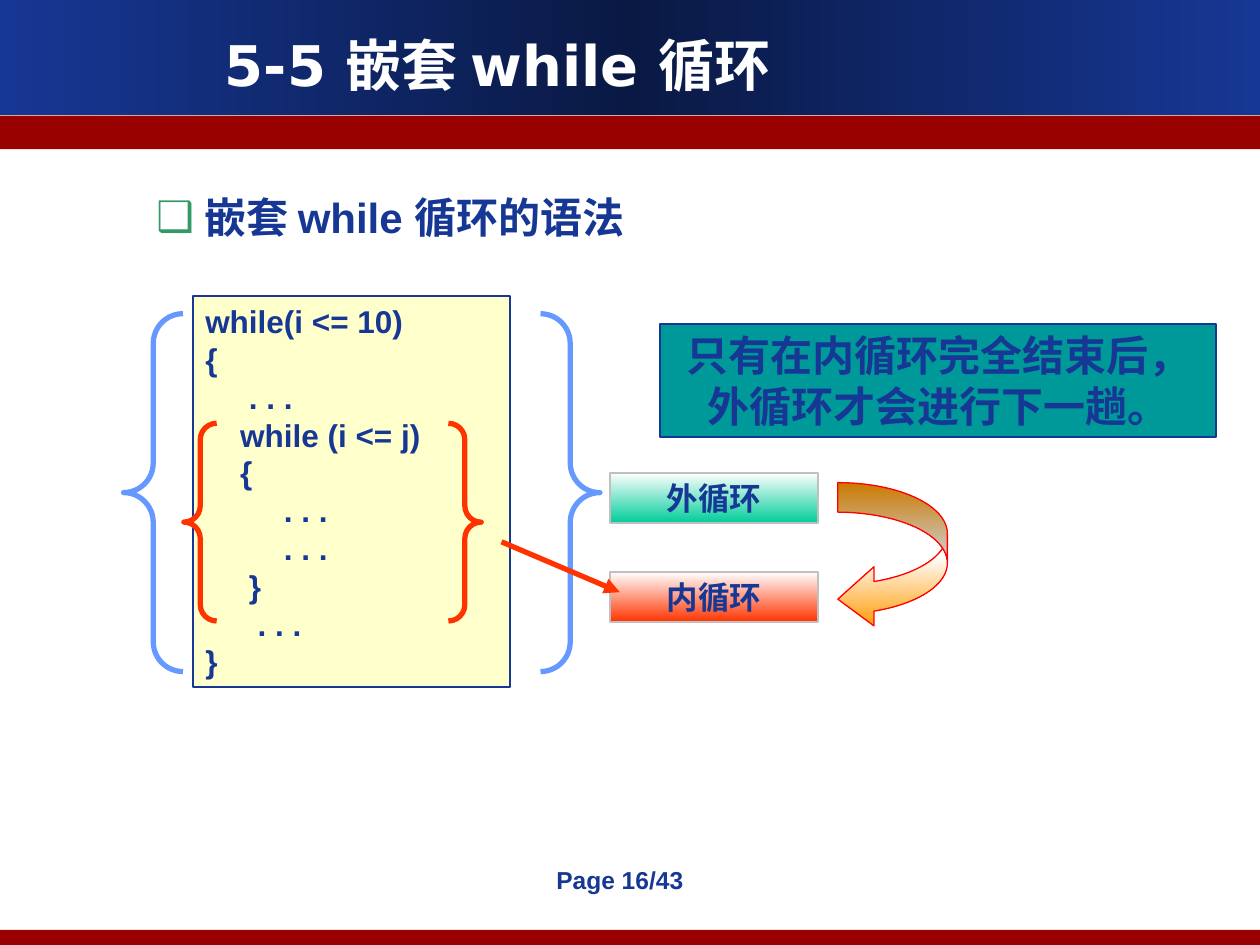
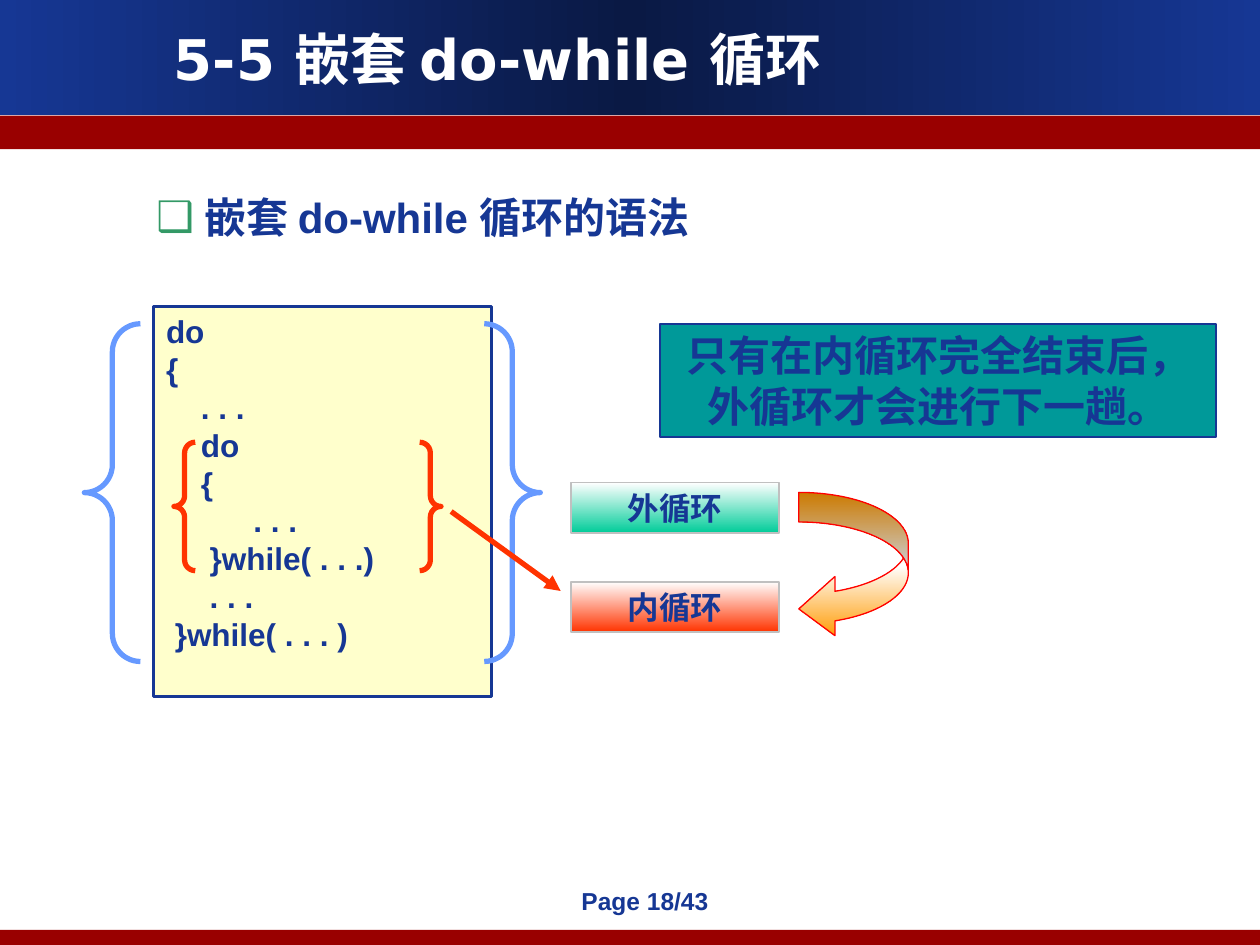
import lxml.etree
import pptx
import pptx.dml.color
import pptx.enum.shapes
import pptx.enum.text
import pptx.oxml
import pptx.oxml.ns
import pptx.util

Pt = pptx.util.Pt
RGB = pptx.dml.color.RGBColor
SHAPE = pptx.enum.shapes.MSO_SHAPE
ALIGN = pptx.enum.text.PP_ALIGN
ANCHOR = pptx.enum.text.MSO_ANCHOR
qn = pptx.oxml.ns.qn

BLUE = RGB(0x16, 0x37, 0x94)
NAVY = RGB(0x0A, 0x19, 0x44)
DARK_RED = RGB(0x99, 0x00, 0x00)
WHITE = RGB(0xFF, 0xFF, 0xFF)
CREAM = RGB(0xFF, 0xFF, 0xCC)
SKY = RGB(0x66, 0x99, 0xFF)
ORANGE_RED = RGB(0xFF, 0x33, 0x00)
MINT = RGB(0x00, 0xCC, 0x99)
TEAL = RGB(0x00, 0x99, 0x99)
SILVER = RGB(0xC0, 0xC0, 0xC0)
AMBER = RGB(0xFF, 0x99, 0x00)
RED = RGB(0xFF, 0x00, 0x00)
BULLET_GREEN = RGB(0x33, 0x99, 0x66)

TITLE_FONT = {"name": "DejaVu Sans", "size": Pt(32), "bold": True}
HEADING_FONT = {"name": "Arial", "size": Pt(24), "bold": True}
CODE_FONT = {"name": "Arial", "size": Pt(18), "bold": True}
PAGE_FONT = {"name": "Arial", "size": Pt(14), "bold": True}
MARGINS = {"margin_left": Pt(7.2), "margin_top": Pt(3.6),
           "margin_right": Pt(7.2), "margin_bottom": Pt(3.6)}

SLIDES = [
    {
        "title": "5-5 嵌套 while 循环",
        "title_top": 3.6,
        "heading": "嵌套 while 循环的语法",
        "code": ["while(i <= 10)", "{", "     . . .", "    while (i <= j)", "    {",
                 "         . . .", "         . . .", "     }", "      . . .", "}"],
        "code_box": (110.2, 169.2, 181.4, 223.2),
        "code_line": 1.25,
        "outer_brace": (70.6, 179.3, 272.2, 204.5),
        "inner_brace": (105.1, 241.9, 169.9, 113),
        "labels_at": (348.5, 270.2),
        "pointer": (286.6, 309.6, 354.2, 338.4),
        "callout_line": 1,
        "page": "Page 16/43",
        "page_box": (303.1, 491, 102.2, 41),
    },
    {
        "title": "5-5 嵌套 do-while 循环",
        "title_top": 0,
        "heading": "嵌套 do-while 循环的语法",
        "code": ["do", "{", "    . . .", "    do", "    {", "          . . .",
                 "     }while( . . .)", "     . . .", " }while( . . . )"],
        "code_box": (87.8, 175, 193, 223.2),
        "code_line": 1.5,
        "outer_brace": (48.2, 185, 260.6, 193),
        "inner_brace": (99.4, 252.7, 152.6, 73.4),
        "labels_at": (326.2, 275.8),
        "pointer": (257.8, 292.3, 320.4, 337.7),
        "callout_line": 1.25,
        "page": "Page 18/43",
        "page_box": (314.6, 502.6, 108, 41),
    },
]


def set_attrs(obj, values):
    for name, value in values.items():
        setattr(obj, name, value)


def points(box):
    return [Pt(v) for v in box]


def set_gradient(sp, colors):
    """Fill a shape from top to bottom with evenly spaced colours."""
    sp.fill.gradient()
    sp.fill.gradient_angle = 270
    stops = sp.element.spPr.find(qn("a:gradFill")).find(qn("a:gsLst"))
    for stop in list(stops):
        stops.remove(stop)
    for i, color in enumerate(colors):
        stop = lxml.etree.SubElement(stops, qn("a:gs"),
                                     pos=str(100000 * i // (len(colors) - 1)))
        lxml.etree.SubElement(stop, qn("a:srgbClr"), val=str(color))


def add_preset(s, kind, box, fill=None, line=None, width=1.0):
    """Add a preset shape; fill is None, one colour or a list of colours."""
    sp = s.shapes.add_shape(kind, *points(box))
    sp.shadow.inherit = False
    if fill is None:
        sp.fill.background()
    elif isinstance(fill, list):
        set_gradient(sp, fill)
    else:
        sp.fill.solid()
        sp.fill.fore_color.rgb = fill
    if line is None:
        sp.line.fill.background()
    else:
        sp.line.color.rgb = line
        sp.line.width = Pt(width)
    return sp


def write(sp, lines, font, color=BLUE, align=ALIGN.CENTER, anchor=ANCHOR.TOP):
    tf = sp.text_frame
    set_attrs(tf, {**MARGINS, "word_wrap": True, "vertical_anchor": anchor,
                   "auto_size": pptx.enum.text.MSO_AUTO_SIZE.NONE})
    for i, line in enumerate(lines):
        p = tf.paragraphs[0] if i == 0 else tf.add_paragraph()
        set_attrs(p, {"alignment": align, "space_before": Pt(0)})
        r = p.add_run()
        r.text = line
        set_attrs(r.font, font)
        r.font.color.rgb = color


def move(sp, box):
    set_attrs(sp, dict(zip(("left", "top", "width", "height"), points(box))))


def add_master_bands(prs, s):
    """Draw the bands on a slide, then hand them to the slide master."""
    bands = [
        add_preset(s, SHAPE.RECTANGLE, (0, 0, 720, 65.6), [BLUE, NAVY, BLUE]),
        add_preset(s, SHAPE.RECTANGLE, (0, 66.1, 720, 19.2), DARK_RED),
        add_preset(s, SHAPE.RECTANGLE, (0, 531.4, 720, 8.6), DARK_RED),
    ]
    bands[0].fill.gradient_angle = 180
    tree = prs.slide_master.element.cSld.spTree
    for i, band in enumerate(bands):
        band.element.nvSpPr.cNvPr.set("id", str(101 + i))
        tree.append(band.element)


def add_headings(s, title, title_top, heading):
    move(s.shapes.title, (14.4, title_top, 540, 66.2))
    write(s.shapes.title, [title], TITLE_FONT, WHITE, anchor=ANCHOR.MIDDLE)

    body = s.placeholders[1]
    move(body, (82.1, 105.8, 499, 36))
    write(body, [heading], HEADING_FONT, align=ALIGN.LEFT)
    pPr = body.text_frame.paragraphs[0]._p.get_or_add_pPr()
    set_hanging = {"marL": Pt(27.4), "indent": -Pt(27.4)}
    for name, value in set_hanging.items():
        pPr.set(name, str(int(value)))
    color = lxml.etree.SubElement(pPr, qn("a:buClr"))
    lxml.etree.SubElement(color, qn("a:srgbClr"), val=str(BULLET_GREEN))
    lxml.etree.SubElement(pPr, qn("a:buFont"), typeface="Arial")
    lxml.etree.SubElement(pPr, qn("a:buChar"), char="❑")


def add_brace(s, box, color):
    sp = add_preset(s, SHAPE.DOUBLE_BRACE, box, line=color, width=3)
    sp.adjustments[0] = 0.083


def add_code(s, code, box, line_width, outer_brace, inner_brace):
    sp = add_preset(s, SHAPE.RECTANGLE, box, CREAM, BLUE, line_width)
    write(sp, code, CODE_FONT, align=ALIGN.LEFT)
    add_brace(s, outer_brace, SKY)
    add_brace(s, inner_brace, ORANGE_RED)


def add_loop_labels(s, left, top):
    """Stack the two loop labels and set the curved arrow beside them."""
    for i, (text, color) in enumerate([("外循环", MINT), ("内循环", ORANGE_RED)]):
        sp = add_preset(s, SHAPE.RECTANGLE, (left, top + i * 56.7, 118.8, 28.8),
                        [WHITE, color], SILVER)
        write(sp, [text], CODE_FONT)
    arrow = add_preset(s, SHAPE.CURVED_LEFT_ARROW, (left + 130.3, top + 5.6, 62.6, 83.5),
                       [AMBER, WHITE, AMBER], RED, 0.75)
    for i, value in enumerate((0.27, 0.54, 0.33)):
        arrow.adjustments[i] = value


def add_callout(s, box, line_width):
    sp = add_preset(s, SHAPE.RECTANGLE, box, TEAL, BLUE, line_width)
    write(sp, ["只有在内循环完全结束后，外循环才会进行下一趟。"], HEADING_FONT)


def add_pointer(s, ends):
    line = s.shapes.add_connector(pptx.enum.shapes.MSO_CONNECTOR.STRAIGHT, *points(ends))
    line.line.color.rgb = ORANGE_RED
    line.line.width = Pt(3)
    lxml.etree.SubElement(line.line._get_or_add_ln(), qn("a:tailEnd"), type="triangle")
    lxml.etree.SubElement(line.element.spPr, qn("a:effectLst"))


def add_page_number(s, text, box):
    write(s.shapes.add_textbox(*points(box)), [text], PAGE_FONT)


def add_loop_slide(prs, d):
    s = prs.slides.add_slide(prs.slide_layouts[1])
    add_headings(s, d["title"], d["title_top"], d["heading"])
    add_code(s, d["code"], d["code_box"], d["code_line"], d["outer_brace"], d["inner_brace"])
    add_loop_labels(s, *d["labels_at"])
    add_callout(s, (377.3, 185, 317.5, 64.8), d["callout_line"])
    add_pointer(s, d["pointer"])
    add_page_number(s, d["page"], d["page_box"])
    return s


def main():
    prs = pptx.Presentation()
    set_attrs(prs, {"slide_width": Pt(720), "slide_height": Pt(540)})
    slides = [add_loop_slide(prs, d) for d in SLIDES]
    add_master_bands(prs, slides[0])
    prs.save("out.pptx")


if __name__ == "__main__":
    main()
